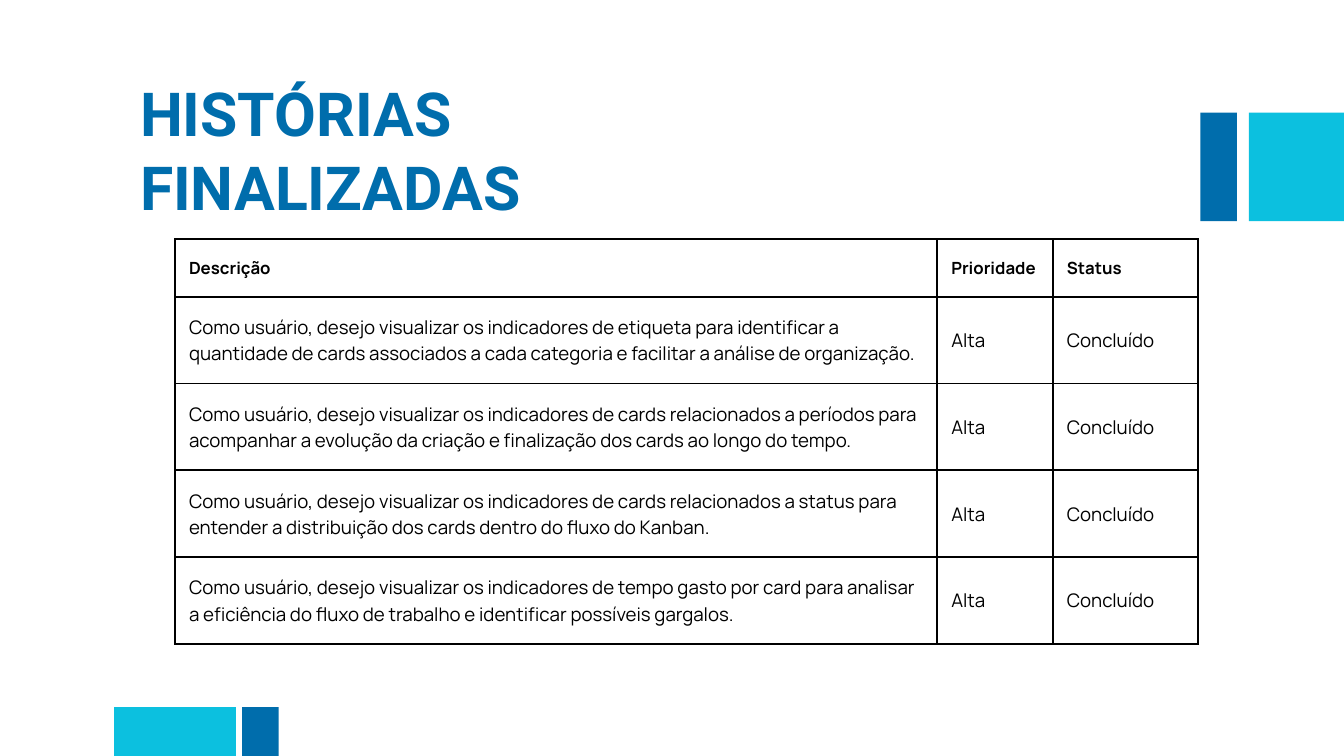
import lxml.etree
import pptx
import pptx.dml.color
import pptx.enum.shapes
import pptx.enum.text
import pptx.oxml.ns
import pptx.util

PX = 9525
COLORS = {"cyan": "0CC0DF", "blue": "006DAC", "black": "000000"}


def color(name):
    return pptx.dml.color.RGBColor.from_string(COLORS[name])


def add_text(frame, text, font, size, spacing, tint, bold):
    para = frame.paragraphs[0]
    para.alignment = pptx.enum.text.PP_ALIGN.LEFT
    para.line_spacing = pptx.util.Pt(spacing)
    run = para.add_run()
    run.text = text
    run.font.name = font
    run.font.size = pptx.util.Pt(size)
    run.font.bold = bold
    run.font.color.rgb = color(tint)


deck = pptx.Presentation()
deck.slide_width = 1920 * PX
deck.slide_height = 1080 * PX
page = deck.slides.add_slide(deck.slide_layouts[5])

BAR_HEIGHT = 155
bars = [
    (1784, 161, 174, "cyan"),
    (163, 1010, 174, "cyan"),
    (1715, 161, 52, "blue"),
    (346, 1010, 52, "blue"),
]
for left, top, width, tint in bars:
    bar = page.shapes.add_shape(
        pptx.enum.shapes.MSO_SHAPE.RECTANGLE,
        left * PX, top * PX, width * PX, BAR_HEIGHT * PX)
    bar.shadow.inherit = False
    bar.fill.solid()
    bar.fill.fore_color.rgb = color(tint)
    bar.line.fill.background()

title = page.shapes.title
title.left, title.top = 200 * PX, 106 * PX
title.width, title.height = 996 * PX, 210 * PX
frame = title.text_frame
frame.word_wrap = True
frame.auto_size = pptx.enum.text.MSO_AUTO_SIZE.NONE
frame.vertical_anchor = pptx.enum.text.MSO_ANCHOR.TOP
frame.margin_left = frame.margin_right = frame.margin_top = frame.margin_bottom = 0
add_text(frame, "HISTÓRIAS FINALIZADAS", "Roboto", 65, 79.3, "blue", True)

stories = [
    "Como usuário, desejo visualizar os indicadores de etiqueta para identificar a quantidade de cards associados a cada categoria e facilitar a análise de organização.",
    "Como usuário, desejo visualizar os indicadores de cards relacionados a períodos para acompanhar a evolução da criação e finalização dos cards ao longo do tempo.",
    "Como usuário, desejo visualizar os indicadores de cards relacionados a status para entender a distribuição dos cards dentro do fluxo do Kanban.",
    "Como usuário, desejo visualizar os indicadores de tempo gasto por card para analisar a eficiência do fluxo de trabalho e identificar possíveis gargalos.",
]
rows = [("Descrição", "Prioridade", "Status")]
rows += [(story, "Alta", "Concluído") for story in stories]
column_widths = [1089, 165, 207]
row_heights = [82] + [124] * len(stories)

table = page.shapes.add_table(
    len(rows), len(column_widths), 250 * PX, 342 * PX,
    sum(column_widths) * PX, sum(row_heights) * PX).table
table.first_row = False
table.horz_banding = False
for column, width in zip(table.columns, column_widths):
    column.width = width * PX
for row, height in zip(table.rows, row_heights):
    row.height = height * PX

for row_index, texts in enumerate(rows):
    header = row_index == 0
    size, spacing = (18, 25.2) if header else (20, 28)
    for column_index, text in enumerate(texts):
        cell = table.cell(row_index, column_index)
        cell.vertical_anchor = pptx.enum.text.MSO_ANCHOR.MIDDLE
        cell.margin_left = cell.margin_right = 20 * PX
        cell.margin_top = cell.margin_bottom = 20 * PX
        add_text(cell.text_frame, text, "Manrope", size, spacing, "black", header)
        properties = cell._tc.get_or_add_tcPr()
        for side in ("lnL", "lnR", "lnT", "lnB"):
            border = lxml.etree.SubElement(
                properties, pptx.oxml.ns.qn("a:" + side), w=str(pptx.util.Pt(2.25)))
            fill = lxml.etree.SubElement(border, pptx.oxml.ns.qn("a:solidFill"))
            lxml.etree.SubElement(
                fill, pptx.oxml.ns.qn("a:srgbClr"), val=COLORS["black"])
        cell.fill.background()

deck.save("out.pptx")
